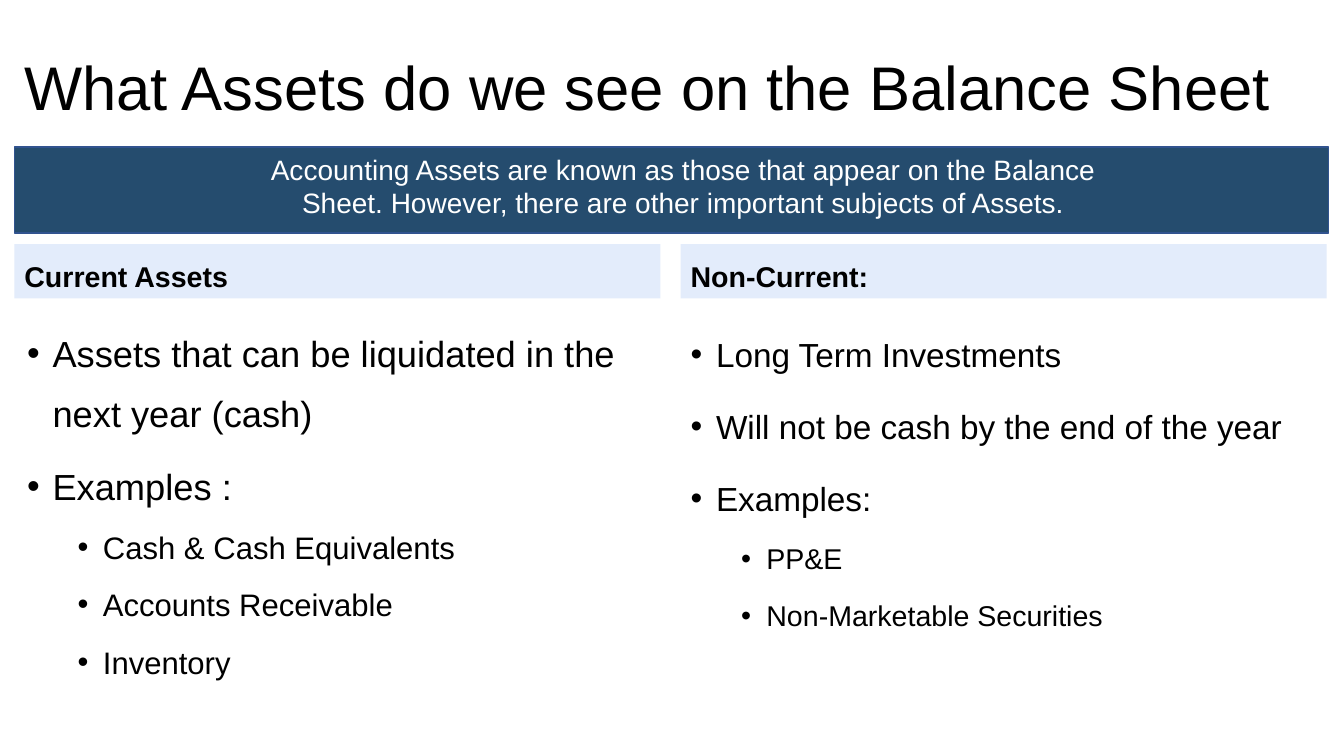
from lxml import etree
from pptx import Presentation
from pptx import util as u
from pptx.dml.color import RGBColor
from pptx.enum import shapes, text
from pptx.oxml.ns import qn

LEFT, WIDTH = u.Cm(0.36), u.Cm(33.12)
COLUMN_WIDTH = u.Cm(16.28)
BANNER_TOP = u.Cm(3.71)


def colour(code):
    return RGBColor.from_string(code)


def write(frame, words, size, ink="000000", bold=False, align=text.PP_ALIGN.LEFT,
          spacing=1.0, before=0, level=None):
    """Add one paragraph; a level of 0 or 1 makes it a bullet."""
    paragraph = frame.paragraphs[0]
    if paragraph.runs:
        paragraph = frame.add_paragraph()
    paragraph.alignment = align
    paragraph.line_spacing = spacing
    paragraph.space_before = u.Pt(before)
    if level is not None:
        paragraph.level = level
        properties = paragraph._p.get_or_add_pPr()
        properties.set("marL", str(u.Cm(0.64 + 1.27 * level)))
        properties.set("indent", str(u.Cm(-0.64)))
        bullet_colour = etree.SubElement(properties, qn("a:buClr"))
        etree.SubElement(bullet_colour, qn("a:srgbClr"), val=ink)
        etree.SubElement(properties, qn("a:buFont"), typeface="Arial")
        etree.SubElement(properties, qn("a:buChar"), char="•")
    run = paragraph.add_run()
    run.text = words
    run.font.name = "Arial"
    run.font.size = u.Pt(size)
    run.font.bold = bold
    run.font.color.rgb = colour(ink)


presentation = Presentation()
presentation.slide_width, presentation.slide_height = u.Cm(33.87), u.Cm(19.05)
slide = presentation.slides.add_slide(presentation.slide_layouts[4])

# Title
title = slide.shapes.title
title.left, title.top, title.width, title.height = LEFT, u.Cm(1.02), WIDTH, u.Cm(2.54)
title.text_frame.auto_size = text.MSO_AUTO_SIZE.NONE
title.text_frame.vertical_anchor = text.MSO_ANCHOR.MIDDLE
write(title.text_frame, "What Assets do we see on the Balance Sheet", 44, spacing=0.9)

# Banner
banner = slide.shapes.add_shape(shapes.MSO_SHAPE.RECTANGLE, LEFT, BANNER_TOP, WIDTH, u.Cm(2.16))
banner.shadow.inherit = False
banner.fill.solid()
banner.fill.fore_color.rgb = colour("254C6E")
banner.line.color.rgb = colour("31538F")
banner.line.width = u.Pt(1)

statement = slide.shapes.add_textbox(u.Cm(5.74), BANNER_TOP, u.Cm(22.96), u.Cm(1.96))
statement.text_frame.word_wrap = True
write(statement.text_frame,
      "Accounting Assets are known as those that appear on the Balance Sheet. "
      "However, there are other important subjects of Assets.",
      20, ink="FFFFFF", align=text.PP_ALIGN.CENTER)

# Columns: heading, header left, list left, sizes by level, line spacing, items
columns = [
    ("Current Assets", LEFT, u.Cm(0.43), (25.9, 22.2), 1.37, [
        (0, "Assets that can be liquidated in the next year (cash)"),
        (0, "Examples :"),
        (1, "Cash & Cash Equivalents"),
        (1, "Accounts Receivable"),
        (1, "Inventory"),
    ]),
    ("Non-Current:", u.Cm(17.15), u.Cm(17.15), (23.8, 20.4), 1.47, [
        (0, "Long Term Investments"),
        (0, "Will not be cash by the end of the year"),
        (0, "Examples:"),
        (1, "PP&E"),
        (1, "Non-Marketable Securities"),
    ]),
]
for number, (heading, header_left, list_left, sizes, spacing, items) in enumerate(columns):
    header = slide.placeholders[1 + 2 * number]
    header.left, header.top = header_left, u.Cm(6.15)
    header.width, header.height = COLUMN_WIDTH, u.Cm(1.37)
    header.fill.solid()
    header.fill.fore_color.rgb = colour("E3ECFB")
    header.text_frame.auto_size = text.MSO_AUTO_SIZE.NONE
    header.text_frame.vertical_anchor = text.MSO_ANCHOR.BOTTOM
    write(header.text_frame, heading, 20.4, bold=True, spacing=1.4)

    details = slide.placeholders[2 + 2 * number]
    details.left, details.top = list_left, u.Cm(7.82)
    details.width, details.height = COLUMN_WIDTH, u.Cm(9.37)
    details.text_frame.auto_size = text.MSO_AUTO_SIZE.NONE
    for position, (level, item) in enumerate(items):
        before = (9.5, 4.75)[level] if position else 0
        write(details.text_frame, item, sizes[level], spacing=spacing,
              before=before, level=level)

presentation.save("out.pptx")
